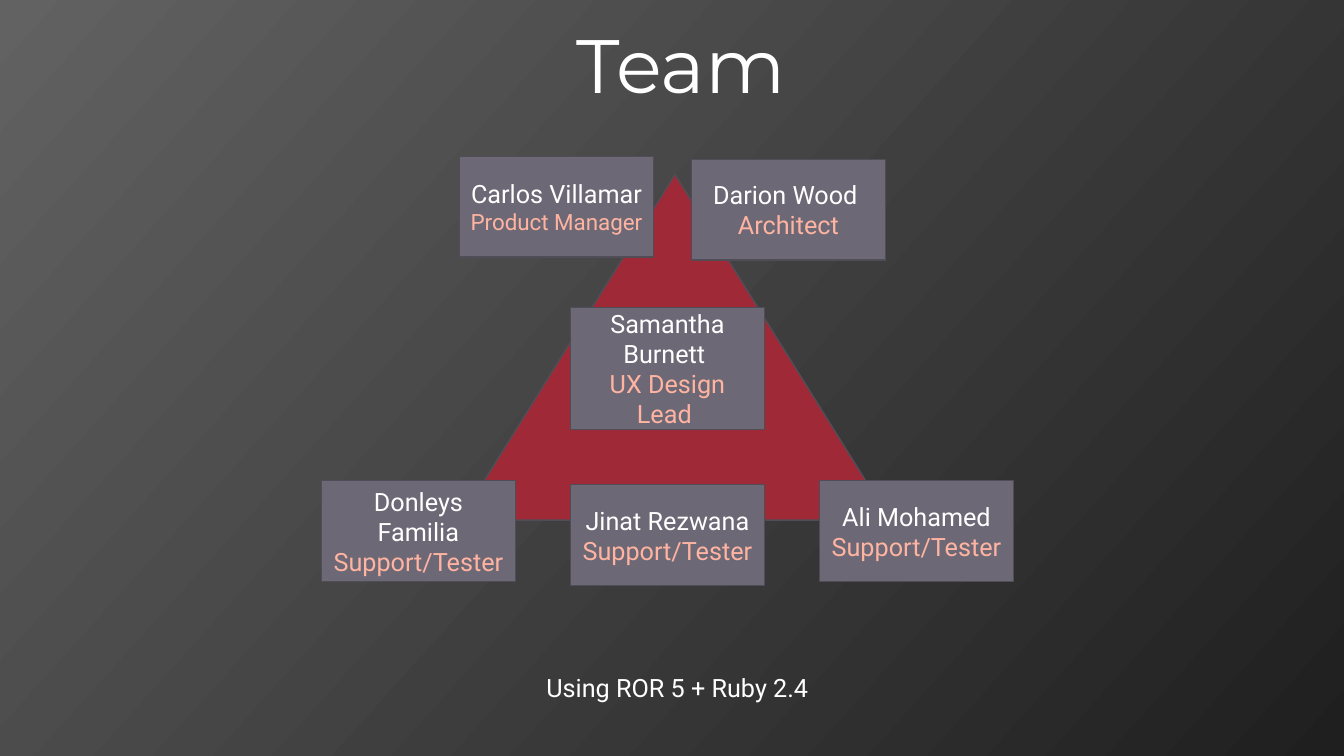
from pptx import Presentation
from pptx.dml.color import RGBColor
from pptx.enum import shapes, text
from pptx.util import Inches, Pt

WHITE = RGBColor(0xFF, 0xFF, 0xFF)
PEACH = RGBColor(0xFF, 0xB4, 0xA2)
MAUVE = RGBColor(0x6D, 0x68, 0x75)
EDGE = RGBColor(0x51, 0x4D, 0x57)
RED = RGBColor(0x9F, 0x29, 0x36)
LIGHT = RGBColor(0x62, 0x62, 0x62)
DARK = RGBColor(0x1F, 0x1F, 0x1F)

TEAM = [
    (4.56, 1.55, 1, "Carlos Villamar", "Product Manager", 16),
    (5.66, 4.81, 1, "Jinat Rezwana", "Support/Tester ", 18),
    (5.66, 3.05, 1.21, "Samantha Burnett ", "UX Design Lead ", 18),
    (6.86, 1.58, 1, "Darion Wood ", "Architect", 18),
    (8.13, 4.77, 1, "Ali Mohamed", "Support/Tester", 18),
    (3.19, 4.77, 1, "Donleys Familia", "Support/Tester ", 18),
]


def shade(slide):
    """Fill the background with a diagonal grey gradient."""
    fill = slide.background.fill
    fill.gradient()
    fill.gradient_angle = 360 - 42
    for stop, tone in zip(fill.gradient_stops, (LIGHT, DARK)):
        stop.color.rgb = tone


def write(para, words, size, tone=WHITE, font="Roboto"):
    """Add one styled run to a paragraph."""
    run = para.add_run()
    run.text = words
    run.font.size = Pt(size)
    run.font.name = font
    run.font.color.rgb = tone


def label(slide, box, words, size, font="Roboto", wrap=True):
    """Add a one-line text box and return its frame."""
    frame = slide.shapes.add_textbox(*map(Inches, box)).text_frame
    frame.word_wrap = wrap
    write(frame.paragraphs[0], words, size, font=font)
    return frame


def block(slide, kind, box, tone):
    """Add a filled, outlined shape without a shadow."""
    shape = slide.shapes.add_shape(kind, *map(Inches, box))
    shape.shadow.inherit = False
    shape.fill.solid()
    shape.fill.fore_color.rgb = tone
    shape.line.color.rgb = EDGE
    shape.line.width = Pt(1)
    return shape


def card(slide, left, top, height, name, role, size):
    """Add a card with a member's name and role."""
    kind = shapes.MSO_SHAPE.RECTANGLE
    frame = block(slide, kind, (left, top, 1.92, height), MAUVE).text_frame
    frame.word_wrap = True
    frame.vertical_anchor = text.MSO_ANCHOR.MIDDLE
    first, second = frame.paragraphs[0], frame.add_paragraph()
    write(first, name, 18)
    write(second, role, size, PEACH)
    for para in (first, second):
        para.alignment = text.PP_ALIGN.CENTER


def main():
    """Build the team slide."""
    deck = Presentation()
    deck.slide_width, deck.slide_height = Inches(13.33), Inches(7.5)
    slide = deck.slides.add_slide(deck.slide_layouts[6])
    shade(slide)

    title = label(slide, (2.05, 0.26, 9.61, 0.88), "Team ", 54, "Montserrat")
    title.vertical_anchor = text.MSO_ANCHOR.BOTTOM
    title.paragraphs[0].alignment = text.PP_ALIGN.CENTER
    title.paragraphs[0].line_spacing = 0.9

    kind = shapes.MSO_SHAPE.ISOSCELES_TRIANGLE
    block(slide, kind, (4.56, 1.73, 4.27, 3.43), RED)
    for member in TEAM:
        card(slide, *member)

    note = label(slide, (5.32, 6.62, 2.81, 0.4), "Using ROR 5 + Ruby 2.4", 18, wrap=False)
    note.auto_size = text.MSO_AUTO_SIZE.SHAPE_TO_FIT_TEXT
    deck.save("out.pptx")


if __name__ == "__main__":
    main()
